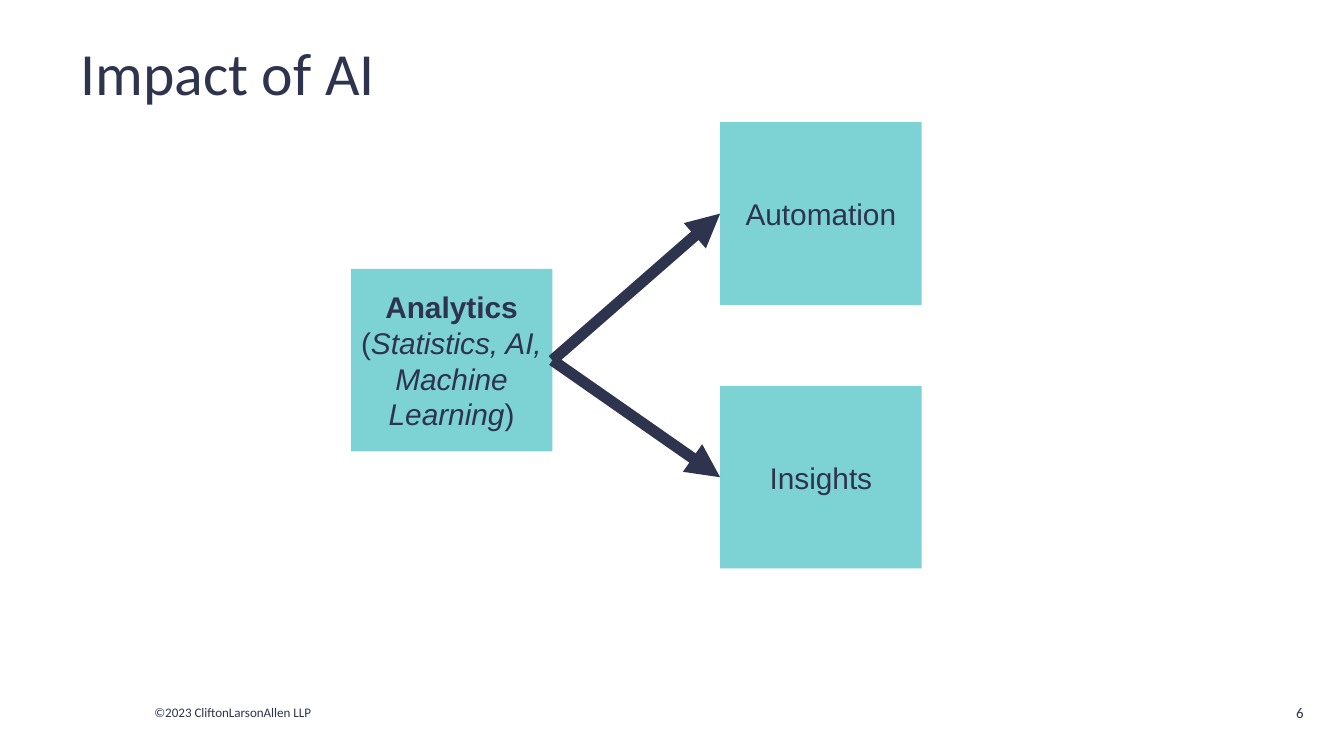
from lxml import etree
from pptx import Presentation
from pptx import util as u
from pptx.dml.color import RGBColor
from pptx.enum import shapes, text
from pptx.oxml.ns import qn

THEME = {
    "ink": RGBColor.from_string("2E334E"),
    "box": RGBColor.from_string("7DD2D3"),
    "heading_font": "Calibri", "box_font": "Arial",
    "title": 32, "label": 16, "footer": 7, "number": 8, "arrow": 6,
}
LEFT, CENTER, RIGHT = text.PP_ALIGN.LEFT, text.PP_ALIGN.CENTER, text.PP_ALIGN.RIGHT

# Content: (wording, size, alignment, left, top, width, height), lengths in cm
captions = [
    ("©2023 CliftonLarsonAllen LLP", "footer", LEFT, 2.67, 13.18, 3.84, 0.56),
    ("Impact of AI", "title", LEFT, 1.27, 0.41, 22.86, 1.9),
    ("6", "number", RIGHT, 23.8, 12.98, 1.09, 0.97),
]
# Each box is a list of paragraphs, each a list of (wording, style) runs
cause = [
    [("Analytics", "bold")],
    [("(", ""), ("Statistics, AI, Machine Learning", "italic"), (")", "")],
]
effects = [[[("Automation", "")]], [[("Insights", "")]]]

# Layout in cm
BOX_W, BOX_H = 3.81, 3.45
CAUSE_X, CAUSE_Y = 6.63, 5.08
EFFECT_X, EFFECT_Y, EFFECT_STEP = 13.61, 2.31, 4.98

deck = Presentation()
deck.slide_width, deck.slide_height = u.Cm(25.4), u.Cm(14.28)
slide = deck.slides.add_slide(deck.slide_layouts[6])


def write(frame, paragraphs, font, size, align):
    frame.word_wrap = True
    frame.vertical_anchor = text.MSO_ANCHOR.MIDDLE
    for i, runs in enumerate(paragraphs):
        line = frame.add_paragraph() if i else frame.paragraphs[0]
        line.alignment = align
        for wording, style in runs:
            run = line.add_run()
            run.text = wording
            run.font.name = font
            run.font.size = u.Pt(THEME[size])
            run.font.color.rgb = THEME["ink"]
            run.font.bold = style == "bold"
            run.font.italic = style == "italic"


def add_box(paragraphs, left, top):
    box = slide.shapes.add_shape(
        shapes.MSO_SHAPE.RECTANGLE, *map(u.Cm, (left, top, BOX_W, BOX_H)))
    box.shadow.inherit = False
    box.fill.solid()
    box.fill.fore_color.rgb = THEME["box"]
    box.line.fill.background()
    box.text_frame.margin_left = box.text_frame.margin_right = 0
    write(box.text_frame, paragraphs, THEME["box_font"], "label", CENTER)
    return box


def add_arrow(source, target):
    arrow = slide.shapes.add_connector(shapes.MSO_CONNECTOR.STRAIGHT, 0, 0, 0, 0)
    arrow.begin_connect(source, 3)
    arrow.end_connect(target, 1)
    arrow.line.color.rgb = THEME["ink"]
    arrow.line.width = u.Pt(THEME["arrow"])
    etree.SubElement(arrow.line._get_or_add_ln(), qn("a:tailEnd"), type="triangle")
    etree.SubElement(arrow._element.spPr, qn("a:effectLst"))


# Title, footer and slide number
for wording, size, align, *place in captions:
    caption = slide.shapes.add_textbox(*map(u.Cm, place))
    write(caption.text_frame, [[(wording, "")]], THEME["heading_font"], size, align)

# Analytics box and the two results it leads to
analytics = add_box(cause, CAUSE_X, CAUSE_Y)
results = [add_box(effect, EFFECT_X, EFFECT_Y + i * EFFECT_STEP)
           for i, effect in enumerate(effects)]
for result in results:
    add_arrow(analytics, result)

deck.save("out.pptx")
